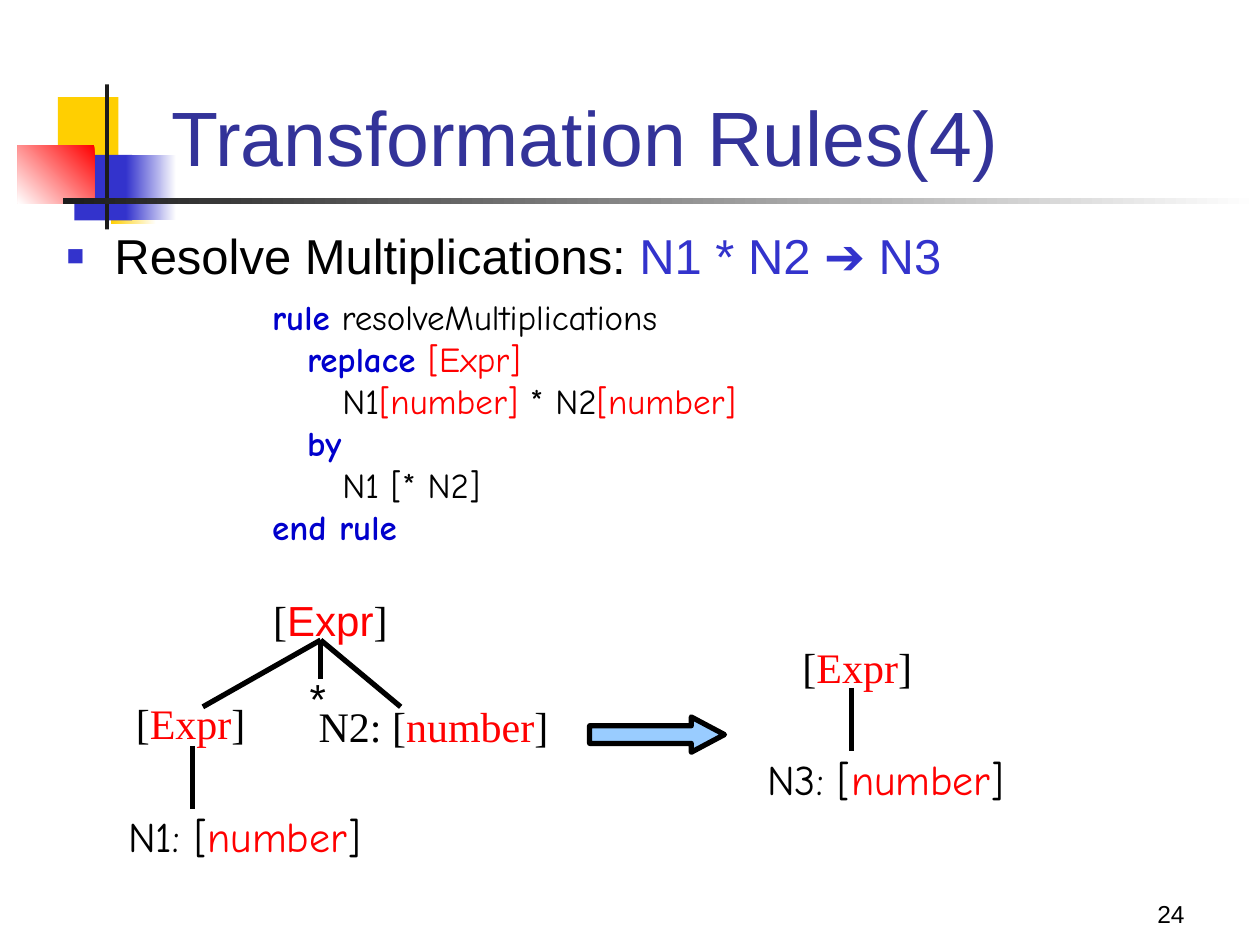
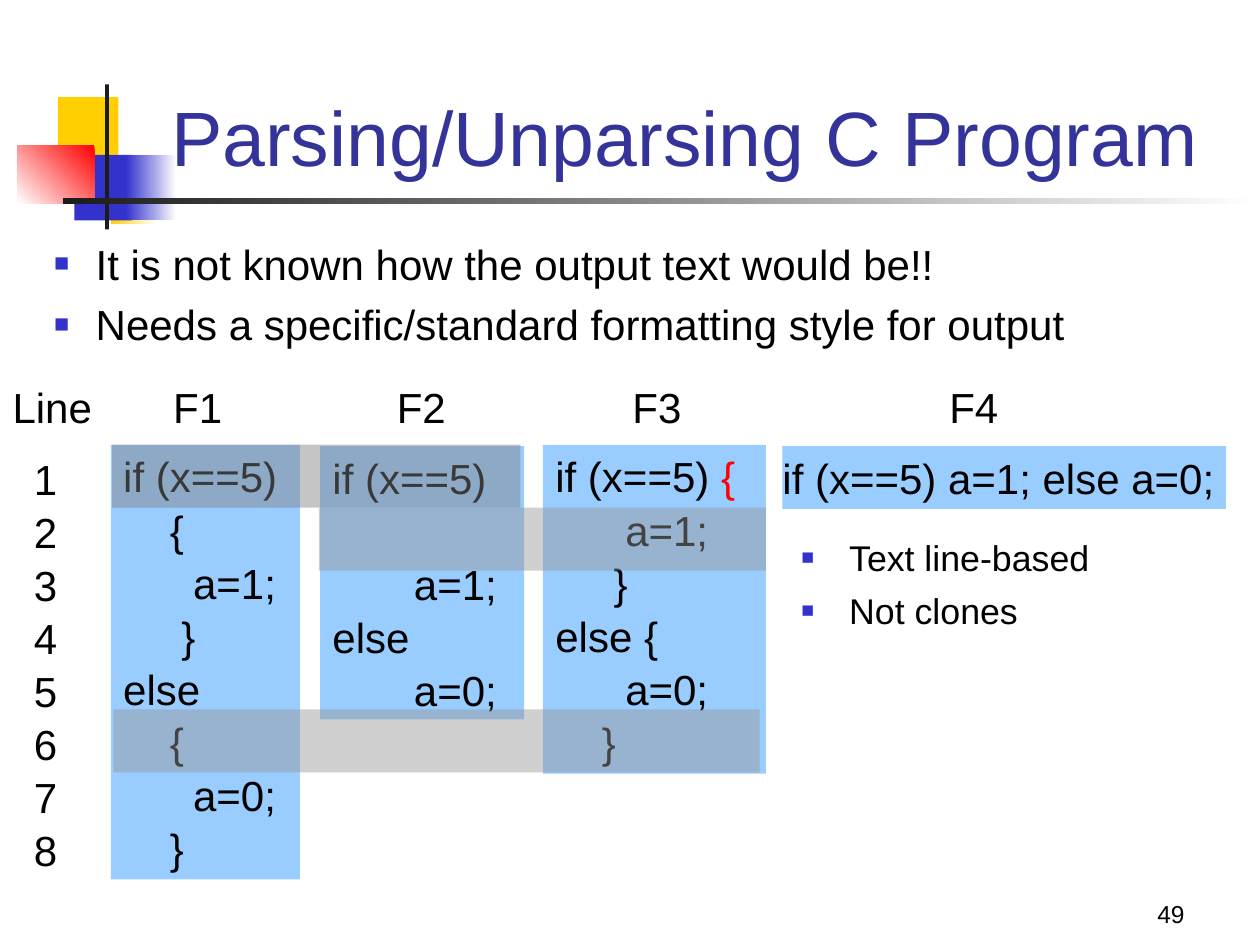
from dataclasses import dataclass
from typing import NamedTuple, Optional

from lxml import etree
from pptx import Presentation
from pptx.dml.color import RGBColor
from pptx.enum.shapes import MSO_CONNECTOR, MSO_SHAPE
from pptx.enum.text import MSO_ANCHOR, MSO_AUTO_SIZE, PP_ALIGN
from pptx.oxml.ns import qn
from pptx.util import Inches, Pt

RECTANGLE, RIGHT_ARROW = MSO_SHAPE.RECTANGLE, MSO_SHAPE.RIGHT_ARROW
STRAIGHT = MSO_CONNECTOR.STRAIGHT
TOP, BOTTOM = MSO_ANCHOR.TOP, MSO_ANCHOR.BOTTOM
LEFT, RIGHT = PP_ALIGN.LEFT, PP_ALIGN.RIGHT
GROW, FIXED = MSO_AUTO_SIZE.SHAPE_TO_FIT_TEXT, MSO_AUTO_SIZE.NONE

SLIDE_WIDTH, SLIDE_HEIGHT = Inches(10), Inches(7.5)
COLUMNS, ROWS = 100, 75
LINE_ROWS = 4.22  # pitch of one code line
CODE_TOP = 35.3


@dataclass(frozen=True)
class Theme:
    title: str = "333399"
    text: str = "000000"
    keyword: str = "0000CC"
    category: str = "FF0000"
    accent: str = "3333CC"
    gold: str = "FFCF01"
    rule: str = "1C1C1C"
    white: str = "FFFFFF"
    panel: str = "99CCFF"
    dark_band: str = "808080"
    band: str = "969696"
    sans: str = "Arial"
    serif: str = "Times New Roman"
    hand: str = "Comic Neue"
    title_size: float = 44
    lead_size: float = 28
    body_size: float = 24
    side_size: float = 20.4
    code_size: float = 20
    number_size: float = 14
    line_width: float = 3


THEME = Theme()


class Box(NamedTuple):
    """A place on the grid, in columns and rows."""
    column: float
    row: float
    width: float
    height: float


class Run(NamedTuple):
    text: str
    color: str = THEME.text
    bold: bool = False
    font: Optional[str] = None


class Bullet(NamedTuple):
    indent: float


@dataclass(frozen=True)
class TextStyle:
    size: float = THEME.body_size
    font: str = THEME.sans
    insets: tuple = (0.1, 0.05, 0.1, 0.05)
    anchor: int = TOP
    align: int = LEFT
    wrap: bool = True
    grow: bool = False
    gap: float = 0
    line_spacing: Optional[float] = None
    bullet: Optional[Bullet] = None


class Decoration(NamedTuple):
    box: Box
    color: str
    fade_angle: Optional[float] = None


class Panel(NamedTuple):
    box: Box
    lines: list
    style: TextStyle
    skipped_before: Optional[int] = None


DECORATIONS = [
    Decoration(Box(4.6, 7.7, 4.8, 5.2), THEME.gold),
    Decoration(Box(8.8, 12.6, 3.6, 5.2), THEME.gold, 0),
    Decoration(Box(5.9, 12.3, 4.6, 5.2), THEME.accent),
    Decoration(Box(10, 12.3, 4, 5.2), THEME.accent, 0),
    Decoration(Box(1.4, 11.55, 6.1, 4.6), THEME.category, 225),
    Decoration(Box(8.35, 6.7, 0.3, 11.5), THEME.rule),
    Decoration(Box(5, 15.7, 95, 0.5), THEME.rule, 0),
]

TITLE = TextStyle(THEME.title_size, anchor=BOTTOM)
NUMBER = TextStyle(THEME.number_size, anchor=BOTTOM, align=RIGHT)
LEAD = TextStyle(THEME.lead_size, insets=(0.1, 0.06, 0.1, 0.05),
                 line_spacing=0.9, bullet=Bullet(0.38))
RULE_CODE = TextStyle(THEME.code_size, THEME.hand, (0, 0, 0, 0))
SERIF_NODE = TextStyle(font=THEME.serif, wrap=False, grow=True)
HAND_NODE = TextStyle(font=THEME.hand, wrap=False, grow=True)
OPERATOR = TextStyle()
PANEL_CODE = TextStyle(gap=1.5)
FLUSH_CODE = TextStyle(insets=(0, 0.05, 0, 0.05), gap=1.5)
HEADING = TextStyle(insets=(0, 0.05, 0, 0.05))
POINTS = TextStyle(insets=(0, 0.01, 0, 0), gap=6, bullet=Bullet(0.33))
SIDE_POINTS = TextStyle(THEME.side_size, insets=(0, 0.01, 0, 0.01),
                        gap=6, bullet=Bullet(0.38))


def across(columns: float) -> int:
    return round(SLIDE_WIDTH * columns / COLUMNS)


def down(rows: float) -> int:
    return round(SLIDE_HEIGHT * rows / ROWS)


def place(box: Box) -> tuple:
    return across(box.column), down(box.row), across(box.width), down(box.height)


def rgb(color: str) -> RGBColor:
    return RGBColor.from_string(color)


def apply(target, values: dict) -> None:
    for name, value in values.items():
        setattr(target, name, value)


def keyword(text: str) -> Run:
    return Run(text, THEME.keyword, True)


def category(text: str, font: Optional[str] = None) -> Run:
    return Run(text, THEME.category, font=font)


def node(name: str, label: str = "", font: Optional[str] = None) -> list:
    """A bracketed grammar type with an optional label in front."""
    return [Run(f"{label}["), category(name, font), Run("]")]


def add_bullet(paragraph, bullet: Bullet) -> None:
    properties = paragraph._p.get_or_add_pPr()
    indent = Inches(bullet.indent)
    properties.set("marL", str(indent))
    properties.set("indent", str(-indent))
    color = etree.SubElement(properties, qn("a:buClr"))
    etree.SubElement(color, qn("a:srgbClr"), val=THEME.accent)
    etree.SubElement(properties, qn("a:buSzPct"), val="60000")
    etree.SubElement(properties, qn("a:buFont"), typeface=THEME.sans)
    etree.SubElement(properties, qn("a:buChar"), char="■")


def write_text(shape, lines: list, style: TextStyle,
               skipped_before: Optional[int] = None) -> None:
    """Fill a shape; the line numbered skipped_before follows an empty row."""
    frame = shape.text_frame
    left, top, right, bottom = map(Inches, style.insets)
    apply(frame, dict(margin_left=left, margin_top=top, margin_right=right,
                      margin_bottom=bottom, vertical_anchor=style.anchor,
                      word_wrap=style.wrap,
                      auto_size=GROW if style.grow else FIXED))
    for index, line in enumerate(lines):
        paragraph = frame.paragraphs[0] if index == 0 else frame.add_paragraph()
        gap = style.gap if index else 0
        if index and index == skipped_before:
            gap += down(LINE_ROWS) / Pt(1)
        apply(paragraph, dict(alignment=style.align, space_before=Pt(gap),
                              line_spacing=style.line_spacing))
        if style.bullet:
            add_bullet(paragraph, style.bullet)
        for part in [Run(line)] if isinstance(line, str) else line:
            run = paragraph.add_run()
            run.text = part.text
            apply(run.font, dict(name=part.font or style.font,
                                 size=Pt(style.size), bold=part.bold))
            run.font.color.rgb = rgb(part.color)


def add_text(slide, box: Box, lines: list, style: TextStyle) -> None:
    write_text(slide.shapes.add_textbox(*place(box)), lines, style)


def add_filled(slide, box: Box, color: str, kind=RECTANGLE):
    shape = slide.shapes.add_shape(kind, *place(box))
    shape.shadow.inherit = False
    shape.fill.solid()
    shape.fill.fore_color.rgb = rgb(color)
    shape.line.fill.background()
    return shape


def add_decoration(slide, decoration: Decoration) -> None:
    shape = add_filled(slide, decoration.box, decoration.color)
    if decoration.fade_angle is not None:
        shape.fill.gradient()
        shape.fill.gradient_angle = decoration.fade_angle
        for stop, color in zip(shape.fill.gradient_stops,
                               (decoration.color, THEME.white)):
            stop.color.rgb = rgb(color)


def add_band(slide, box: Box, color: str) -> None:
    """A see-through strip over matching lines."""
    shape = add_filled(slide, box, color)
    fill_color = shape._element.spPr.find(".//" + qn("a:srgbClr"))
    etree.SubElement(fill_color, qn("a:alpha"), val="45000")


def add_branch(slide, start: tuple, end: tuple) -> None:
    branch = slide.shapes.add_connector(
        STRAIGHT, across(start[0]), down(start[1]), across(end[0]), down(end[1]))
    branch.line.color.rgb = rgb(THEME.text)
    branch.line.width = Pt(THEME.line_width)
    etree.SubElement(branch._element.spPr, qn("a:effectLst"))


def add_base_slide(presentation, title: str, number: int):
    slide = presentation.slides.add_slide(presentation.slide_layouts[6])
    for decoration in DECORATIONS:
        add_decoration(slide, decoration)
    add_text(slide, Box(74.2, 69.2, 20.8, 5), [str(number)], NUMBER)
    add_text(slide, Box(12.6, 1.25, 85.2, 13.7), [[Run(title, THEME.title)]], TITLE)
    return slide


def build_rules_slide(presentation) -> None:
    slide = add_base_slide(presentation, "Transformation Rules(4)", 24)
    add_text(slide, Box(4.3, 17.8, 92.9, 5.5),
             [[Run("Resolve Multiplications: "), Run("N1 * N2 ➔ N3", THEME.accent)]],
             LEAD)
    add_text(slide, Box(21.6, 23.45, 39.6, 15.8), [
        [keyword("rule"), Run(" resolveMultiplications")],
        [Run("   "), keyword("replace "), category("[Expr]")],
        [Run("      N1"), category("[number]"), Run(" * N2"), category("[number]")],
        [Run("   "), keyword("by")],
        "      N1 [* N2]",
        [keyword("end rule")],
    ], RULE_CODE)

    tree_nodes = [
        (Box(62.7, 50.4, 10.7, 5), node("Expr"), SERIF_NODE),
        (Box(59.9, 59.3, 20.8, 5), node("number", "N3: "), HAND_NODE),
        (Box(20.7, 46.7, 11.5, 5), node("Expr", font=THEME.sans), SERIF_NODE),
        (Box(9.8, 54.9, 10.7, 5), node("Expr"), SERIF_NODE),
        (Box(9.2, 63.8, 20.4, 5), node("number", "N1: "), HAND_NODE),
        (Box(24.3, 55.1, 20.2, 5), node("number", "N2: "), SERIF_NODE),
        (Box(23.6, 52.9, 4.7, 5), "*", OPERATOR),
    ]
    for box, line, style in tree_nodes:
        add_text(slide, box, [line], style)
    root = (25.45, 50.8)
    for start, end in [(root, (16.1, 56.1)), (root, (25.45, 53.9)),
                       (root, (31.8, 56.1)), ((15.3, 59.2), (15.3, 64.2)),
                       ((67.6, 54.6), (67.6, 59.6))]:
        add_branch(slide, start, end)

    arrow = add_filled(slide, Box(46.8, 56.9, 10.7, 2.8), THEME.panel, RIGHT_ARROW)
    arrow.adjustments[1] = 0.94
    arrow.line.color.rgb = rgb(THEME.text)
    arrow.line.width = Pt(THEME.line_width)


def build_parsing_slide(presentation) -> None:
    slide = add_base_slide(presentation, "Parsing/Unparsing C Program", 49)
    panels = [
        Panel(Box(62.1, 35.4, 35.2, 5), ["if (x==5) a=1; else a=0;"], FLUSH_CODE),
        Panel(Box(43.1, CODE_TOP, 17.7, 26.1),
              [[Run("if (x==5) "), category("{")], "      a=1;", "     }",
               "else {", "      a=0;", "    }"], PANEL_CODE),
        Panel(Box(25.4, 35.4, 16.2, 21.7),
              ["if (x==5)", "       a=1;", "else", "       a=0;"], PANEL_CODE, 1),
        Panel(Box(8.8, CODE_TOP, 15, 34.5),
              ["if (x==5)", "    {", "      a=1;", "     }",
               "else", "    {", "      a=0;", "    }"], PANEL_CODE),
    ]
    for panel in panels:
        shape = add_filled(slide, panel.box, THEME.panel)
        write_text(shape, panel.lines, panel.style, panel.skipped_before)

    for column, heading in zip((1, 13.75, 31.5, 50.2, 75.35),
                               ("Line", "F1", "F2", "F3", "F4")):
        add_text(slide, Box(column, 29.8, 7, 5), [heading], HEADING)
    add_text(slide, Box(2.7, 35.5, 4.3, 34.5),
             [str(number) for number in range(1, 9)], FLUSH_CODE)

    for box, color in [(Box(8.9, CODE_TOP, 32.4, 5), THEME.dark_band),
                       (Box(25.3, 40.3, 35.5, 5), THEME.band),
                       (Box(9, 56.3, 51.3, 5), THEME.band)]:
        add_band(slide, box, color)
    add_text(slide, Box(63.6, 42.4, 29.5, 7.9),
             ["Text line-based", "Not clones"], SIDE_POINTS)
    add_text(slide, Box(4.3, 18.8, 89.4, 7.3),
             ["It is not known how the output text would be!!",
              "Needs a specific/standard formatting style for output"], POINTS)


def main() -> None:
    presentation = Presentation()
    apply(presentation, dict(slide_width=SLIDE_WIDTH, slide_height=SLIDE_HEIGHT))
    build_rules_slide(presentation)
    build_parsing_slide(presentation)
    presentation.save("out.pptx")


if __name__ == "__main__":
    main()
